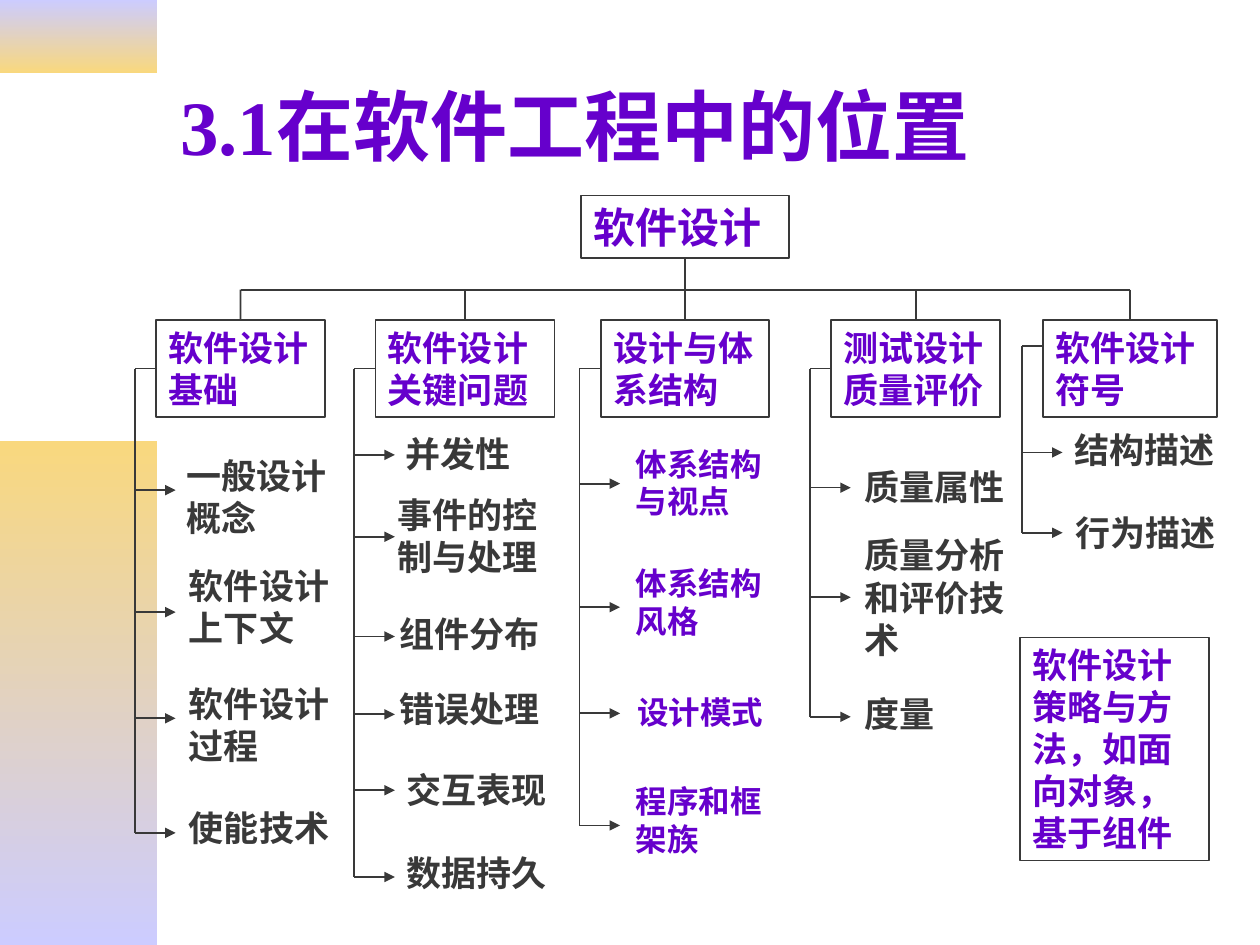
from math import ceil

from lxml import etree
from pptx import Presentation
from pptx.dml.color import RGBColor
from pptx.enum import shapes, text
from pptx.oxml import ns
from pptx.util import Cm, Pt

INK, PURPLE = "393939", "6600CC"
LILAC, GOLD = "CCCCFF", "F9D87E"
FONT = "Times New Roman"
HOOK, ARROW, WIDE = 0.43, 0.82, 3.45

BRANCHES = [
    ((3.15, 6.45, 3.4, 1.96), "软件设计基础", 0.98, 20, INK, [
        ("一般设计概念", 0.36, 2.59, 3.43),
        ("软件设计上下文", 0.41, 4.8, 5.89),
        ("软件设计过程", 0.41, 7.19, 8.03),
        ("使能技术", 0.41, 9.68, 10.34)]),
    ((7.57, 6.45, 3.61, 1.96), "软件设计关键问题", 0.98, 20, INK, [
        ("并发性", 0.35, 2.14, 2.72),
        ("事件的控制与处理", 0.2, 3.38, 4.37),
        ("组件分布", 0.23, 5.77, 6.38),
        ("错误处理", 0.23, 7.29, 7.95),
        ("交互表现", 0.38, 8.92, 9.48),
        ("数据持久", 0.38, 10.59, 11.23)]),
    ((12.11, 6.45, 3.4, 1.96), "设计与体系结构", 0.98, 18, PURPLE, [
        ("体系结构与视点", 0.46, 2.39, 3.3),
        ("体系结构风格", 0.46, 4.8, 5.79),
        ("设计模式", 0.49, 7.39, 7.93),
        ("程序和框架族", 0.46, 9.2, 10.19)]),
    ((16.76, 6.45, 3.4, 1.96), "测试设计质量评价", 0.98, 20, INK, [
        ("质量属性", 0.41, 2.8, 3.38),
        ("质量分析和评价技术", 0.41, 4.19, 5.59),
        ("度量", 0.41, 7.39, 8)]),
    ((21.03, 6.45, 3.51, 1.96), "软件设计符号", 0.53, 20, INK, [
        ("结构描述", 0.38, 2.06, 2.67),
        ("行为描述", 0.4, 3.74, 4.29)]),
]


def tint(code):
    """Turn a hex string into a colour."""
    return RGBColor.from_string(code)


def write(shape, words, size, color, anchor=text.MSO_ANCHOR.TOP):
    """Put one bold left-aligned run into a shape."""
    frame = shape.text_frame
    frame.word_wrap = True
    frame.vertical_anchor = anchor
    para = frame.paragraphs[0]
    para.alignment = text.PP_ALIGN.LEFT
    run = para.add_run()
    run.text = words
    run.font.name, run.font.size, run.font.bold = FONT, Pt(size), True
    run.font.color.rgb = tint(color)


def label(slide, box, words, size, color, anchor=text.MSO_ANCHOR.TOP):
    """Add a plain text box."""
    write(slide.shapes.add_textbox(*map(Cm, box)), words, size, color, anchor)


def frame(slide, box, words, size=20):
    """Add an outlined box with purple text."""
    shape = slide.shapes.add_shape(shapes.MSO_SHAPE.RECTANGLE, *map(Cm, box))
    shape.shadow.inherit = False
    shape.fill.background()
    shape.line.color.rgb = tint(INK)
    shape.line.width = Pt(1)
    write(shape, words, size, PURPLE)
    return shape


def link(slide, start, end, arrow=False):
    """Draw a straight line, with an arrowhead at its end if asked."""
    line = slide.shapes.add_connector(
        shapes.MSO_CONNECTOR.STRAIGHT, *map(Cm, (*start, *end)))
    line.line.color.rgb = tint(INK)
    line.line.width = Pt(1)
    if arrow:
        etree.SubElement(line.line._get_or_add_ln(), ns.qn("a:tailEnd"), type="triangle")
    etree.SubElement(line._element.spPr, ns.qn("a:effectLst"))
    return line


def band(slide, box, top, low):
    """Add a side band with a vertical gradient."""
    shape = slide.shapes.add_shape(shapes.MSO_SHAPE.RECTANGLE, *map(Cm, box))
    shape.shadow.inherit = False
    shape.line.fill.background()
    shape.fill.gradient()
    shape.fill.gradient_angle = 270
    for stop, code in zip(shape.fill.gradient_stops, (top, low)):
        stop.color.rgb = tint(code)


def branch(slide, box, name, hook, size, color, items):
    """Draw a head box, its spine and its items, and return the head."""
    left, top, _, high = box
    head = frame(slide, box, name)
    spine = left - HOOK
    stub = link(slide, (left, top + hook), (spine, top + hook))
    if hook == high / 2:
        stub.begin_connect(head, 1)
    link(slide, (spine, top + hook), (spine, top + items[-1][-1]))
    for words, dx, dy, mid in items:
        link(slide, (spine, top + mid), (spine + ARROW, top + mid), True)
        tall = 0.26 + 0.0425 * size * ceil(len(words) / 4)
        label(slide, (left + dx, top + dy, WIDE, tall), words, size, color)
    return head


def tree(slide, box, bus):
    """Draw the root box, the bus line and all branches under it."""
    left, top, wide, high = box
    root = frame(slide, box, "软件设计", 24)
    mid = left + wide / 2
    link(slide, (mid, top + high), (mid, bus)).begin_connect(root, 2)
    ends = []
    for part in BRANCHES:
        x, y, w, _ = part[0]
        ends.append(x + w / 2)
        head = branch(slide, *part)
        link(slide, (ends[-1], bus), (ends[-1], y)).end_connect(head, 0)
    link(slide, (ends[0], bus), (ends[-1], bus))


def main():
    """Build the slide and save it."""
    deck = Presentation()
    deck.slide_width, deck.slide_height = Cm(25.4), Cm(19.05)
    slide = deck.slides.add_slide(deck.slide_layouts[6])
    band(slide, (0, 0, 3.17, 1.47), LILAC, GOLD)
    band(slide, (0, 8.89, 3.17, 10.16), GOLD, LILAC)
    label(slide, (3.38, 0.84, 21.59, 3.35), "3.1在软件工程中的位置", 44, PURPLE,
          text.MSO_ANCHOR.MIDDLE)
    tree(slide, (11.71, 3.94, 4.2, 1.27), 5.84)
    frame(slide, (20.57, 12.85, 3.81, 4.5), "软件设计策略与方法，如面向对象，基于组件")
    deck.save("out.pptx")


if __name__ == "__main__":
    main()
